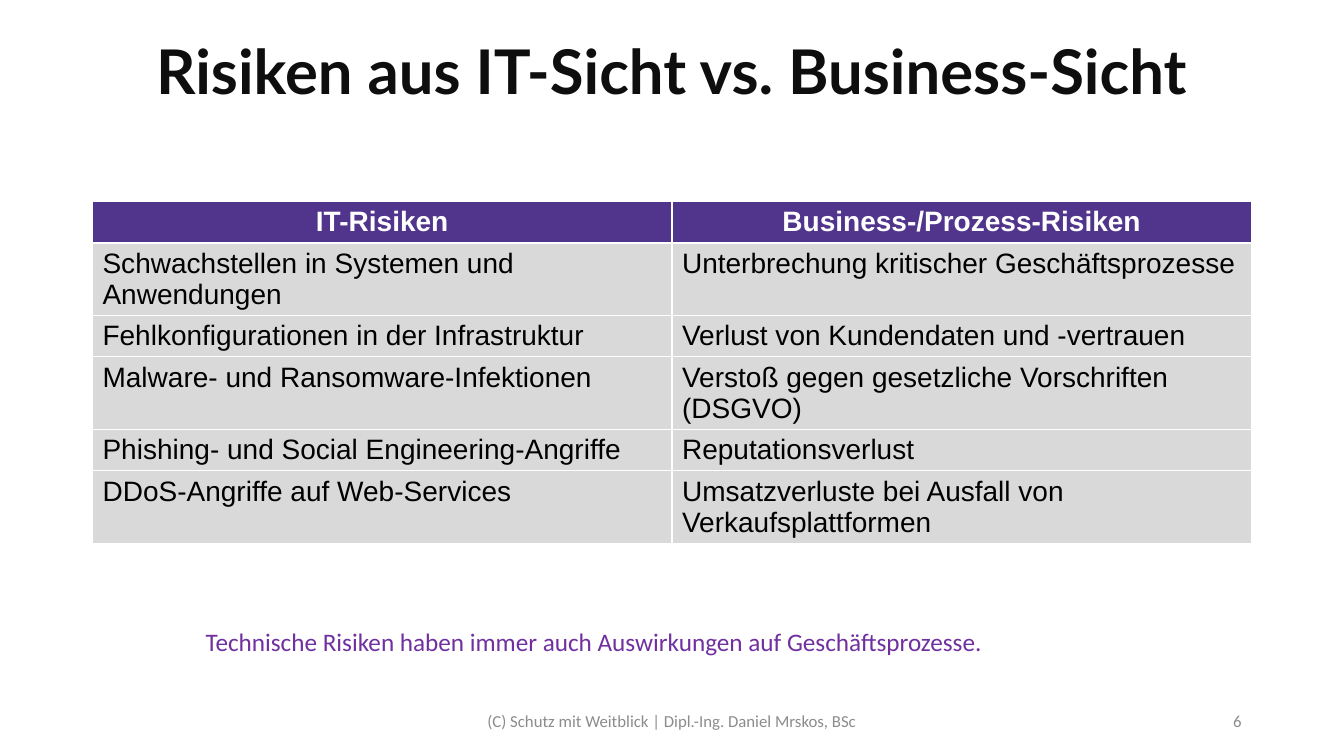
from pptx import Presentation
from pptx.dml.color import RGBColor
from pptx.enum.text import MSO_ANCHOR as Anchor, MSO_AUTO_SIZE as AutoSize, PP_ALIGN as Align
from pptx.util import Cm, Pt

COLORS = {
    "title": "0E0E0E",
    "header": "51358C",
    "body": "D9D9D9",
    "white": "FFFFFF",
    "black": "000000",
    "accent": "7030A0",
    "footer": "8C8C8C",
}

RISKS = [
    ("IT-Risiken", "Business-/Prozess-Risiken"),
    ("Schwachstellen in Systemen und Anwendungen", "Unterbrechung kritischer Geschäftsprozesse"),
    ("Fehlkonfigurationen in der Infrastruktur", "Verlust von Kundendaten und -vertrauen"),
    ("Malware- und Ransomware-Infektionen", "Verstoß gegen gesetzliche Vorschriften (DSGVO)"),
    ("Phishing- und Social Engineering-Angriffe", "Reputationsverlust"),
    ("DDoS-Angriffe auf Web-Services", "Umsatzverluste bei Ausfall von Verkaufsplattformen"),
]


def write(text_frame, text, font, size, color, align=Align.LEFT, bold=False):
    """Set one formatted paragraph in a text frame."""
    text_frame.text = text
    paragraph = text_frame.paragraphs[0]
    paragraph.alignment = align
    run_font = paragraph.runs[0].font
    run_font.name, run_font.size, run_font.bold = font, Pt(size), bold
    run_font.color.rgb = RGBColor.from_string(COLORS[color])


def add_title(slide, text, left, top, width, height):
    """Place and format the title placeholder."""
    title = slide.shapes.title
    title.left, title.top, title.width, title.height = left, top, width, height
    text_frame = title.text_frame
    write(text_frame, text, "Lato", 44, "title", bold=True)
    text_frame.vertical_anchor = Anchor.MIDDLE
    text_frame.paragraphs[0].line_spacing = 0.9


def add_risk_table(slide, left, top, width, row_height):
    """Add the two-column comparison of risks."""
    columns = len(RISKS[0])
    table = slide.shapes.add_table(
        len(RISKS), columns, left, top, width, row_height * len(RISKS)
    ).table
    table.horz_banding = False
    for column in table.columns:
        column.width = width // columns
    for row_index, texts in enumerate(RISKS):
        is_header = row_index == 0
        for column_index, text in enumerate(texts):
            cell = table.cell(row_index, column_index)
            cell.fill.solid()
            cell.fill.fore_color.rgb = RGBColor.from_string(
                COLORS["header" if is_header else "body"]
            )
            write(cell.text_frame, text, "Arial", 20,
                  "white" if is_header else "black",
                  Align.CENTER if is_header else Align.LEFT, is_header)


def add_conclusion(slide, text, left, top, width, height):
    """Add the closing statement below the table."""
    text_frame = slide.shapes.add_textbox(left, top, width, height).text_frame
    text_frame.word_wrap = False
    text_frame.auto_size = AutoSize.SHAPE_TO_FIT_TEXT
    write(text_frame, text, "Calibri", 18, "accent")


def add_footer(slide, credit, number, left, top, width, height):
    """Add the centred credit line and the page number at the right edge."""
    number_width = Cm(7.62)
    credit_width = Cm(11.43)
    credit_left = left + (width - credit_width) // 2
    number_left = left + width - number_width
    for text, part_left, part_width, align in (
        (credit, credit_left, credit_width, Align.CENTER),
        (number, number_left, number_width, Align.RIGHT),
    ):
        text_frame = slide.shapes.add_textbox(part_left, top, part_width, height).text_frame
        text_frame.word_wrap = True
        text_frame.vertical_anchor = Anchor.MIDDLE
        write(text_frame, text, "Calibri", 12, "footer", align)


def main():
    """Build the slide and save the presentation."""
    presentation = Presentation()
    presentation.slide_width, presentation.slide_height = Cm(33.87), Cm(19.05)
    slide = presentation.slides.add_slide(presentation.slide_layouts[5])
    margin, content_width = Cm(2.33), Cm(29.21)
    add_title(slide, "Risiken aus IT-Sicht vs. Business-Sicht",
              Cm(3.68), Cm(0.05), content_width, Cm(3.68))
    add_risk_table(slide, margin, Cm(5.08), content_width, Cm(1.04))
    add_conclusion(slide, "Technische Risiken haben immer auch Auswirkungen auf Geschäftsprozesse.",
                   Cm(4.93), Cm(15.65), Cm(20.32), Cm(1.02))
    add_footer(slide, "(C) Schutz mit Weitblick | Dipl.-Ing. Daniel Mrskos, BSc", "6",
               margin, Cm(17.65), content_width, Cm(1.02))
    presentation.save("out.pptx")


if __name__ == "__main__":
    main()
